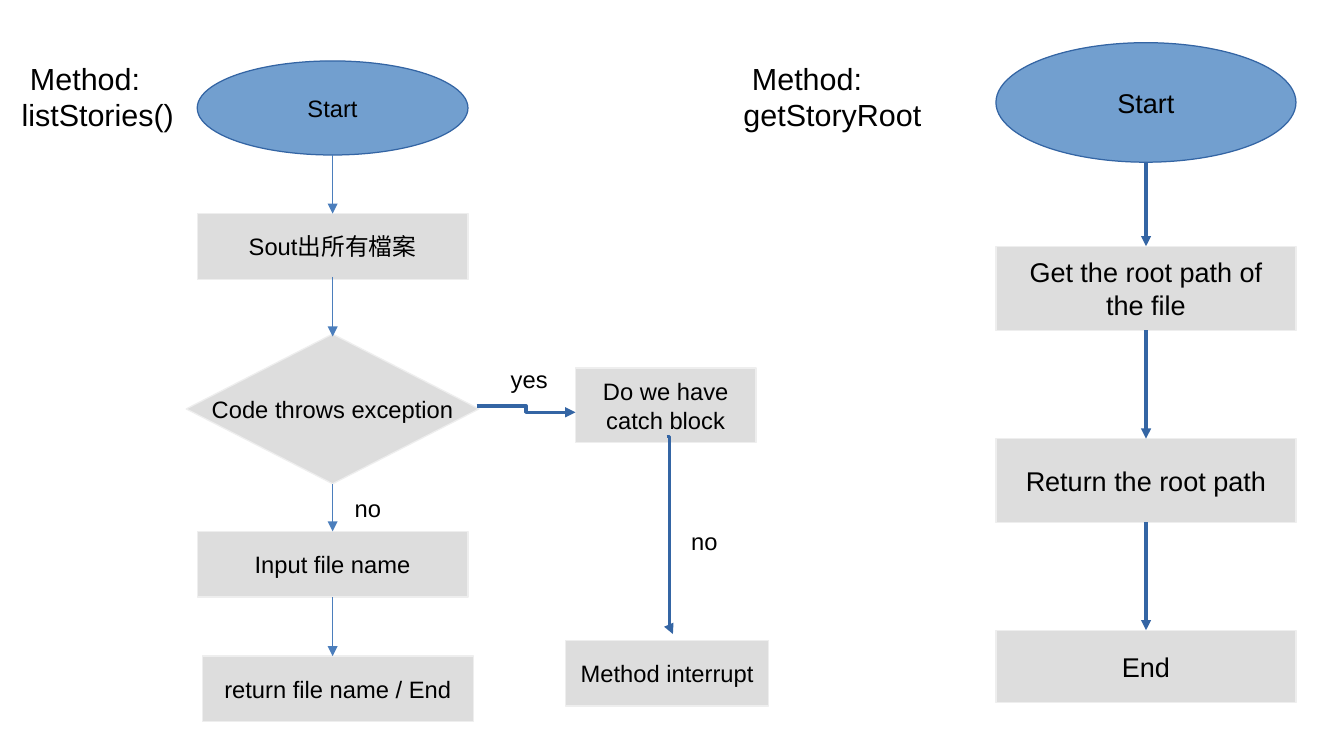
"""Build a slide with the flowcharts of the methods listStories() and getStoryRoot."""
from lxml import etree
from pptx import Presentation
from pptx.dml.color import RGBColor
from pptx.enum.shapes import MSO_CONNECTOR, MSO_SHAPE
from pptx.enum.text import MSO_ANCHOR, PP_ALIGN
from pptx.oxml.ns import qn
from pptx.util import Cm, Pt

OVAL, BOX, DECISION = MSO_SHAPE.OVAL, MSO_SHAPE.RECTANGLE, MSO_SHAPE.DIAMOND
STRAIGHT, ELBOW = MSO_CONNECTOR.STRAIGHT, MSO_CONNECTOR.ELBOW
MIDDLE, CENTER = MSO_ANCHOR.MIDDLE, PP_ALIGN.CENTER
BLUE, DARK_BLUE, ARROW_BLUE = "729FCF", "3465A4", "4B7EBC"
GRAY, LIGHT_GRAY, BLACK = "DDDDDD", "EEEEEE", "000000"
LEFT_X, LEFT_WIDTH = 4.11, 5.64
RIGHT_X, RIGHT_WIDTH = 20.75, 6.25
LEFT_AXIS = LEFT_X + LEFT_WIDTH / 2
RIGHT_AXIS = RIGHT_X + RIGHT_WIDTH / 2


def color(value):
    return RGBColor.from_string(value)


def write(shape, text, size):
    shape.text_frame.text = text
    shape.text_frame.word_wrap = True
    for paragraph in shape.text_frame.paragraphs:
        paragraph.font.name = "Arial"
        paragraph.font.size = Pt(size)
        paragraph.font.color.rgb = color(BLACK)


presentation = Presentation()
presentation.slide_width, presentation.slide_height = Cm(28), Cm(15.75)
slide = presentation.slides.add_slide(presentation.slide_layouts[6])

steps = [
    (OVAL, "Start", 14, LEFT_X, 1.27, LEFT_WIDTH, 1.96),
    (BOX, "Sout出所有檔案", 14, LEFT_X, 4.45, LEFT_WIDTH, 1.37),
    (DECISION, "Code throws exception", 14, 3.88, 6.96, 6.1, 3.12),
    (BOX, "Input file name", 14, LEFT_X, 11.07, LEFT_WIDTH, 1.37),
    (BOX, "return file name / End", 14, 4.22, 13.67, LEFT_WIDTH, 1.37),
    (BOX, "Do we have catch block", 14, 11.99, 7.67, 3.76, 1.55),
    (BOX, "Method interrupt", 14, 11.79, 13.34, 4.22, 1.37),
    (OVAL, "Start", 16, RIGHT_X, 0.89, RIGHT_WIDTH, 2.49),
    (BOX, "Get the root path of the file", 16, RIGHT_X, 5.13, RIGHT_WIDTH, 1.75),
    (BOX, "Return the root path", 16, RIGHT_X, 9.14, RIGHT_WIDTH, 1.75),
    (BOX, "End", 16, RIGHT_X, 13.13, RIGHT_WIDTH, 1.5),
]
for kind, text, size, *bounds in steps:
    shape = slide.shapes.add_shape(kind, *map(Cm, bounds))
    shape.shadow.inherit = False
    shape.fill.solid()
    shape.fill.fore_color.rgb = color(BLUE if kind == OVAL else GRAY)
    shape.line.color.rgb = color(DARK_BLUE if kind == OVAL else LIGHT_GRAY)
    shape.line.width = Pt(0)
    write(shape, text, size)
    shape.text_frame.word_wrap = kind != DECISION
    shape.text_frame.vertical_anchor = MIDDLE
    shape.text_frame.paragraphs[0].alignment = CENTER

labels = [
    (" Method:\nlistStories()", 18, 0.2, 1.12, 6.02, 2.49),
    (" Method:\ngetStoryRoot", 18, 15.24, 1.12, 6.02, 2.49),
    ("yes", 14, 10.39, 7.47, 1.4, 0.76),
    ("no", 14, 7.14, 10.16, 1.6, 0.76),
    ("no", 14, 14.15, 10.85, 1.65, 0.76),
]
for text, size, *bounds in labels:
    write(slide.shapes.add_textbox(*map(Cm, bounds)), text, size)

arrows = [
    (ELBOW, DARK_BLUE, 0, 9.93, 8.46, 11.99, 8.59),
    (ELBOW, DARK_BLUE, 0, 13.89, 9.09, 14.02, 13.21),
]
for top, bottom in [(3.38, 5.13), (6.88, 9.14), (10.88, 13.13)]:
    arrows.append((STRAIGHT, DARK_BLUE, 0, RIGHT_AXIS, top, RIGHT_AXIS, bottom))
for top, bottom in [(3.23, 4.45), (5.77, 7.01), (10.08, 11.07), (12.44, 13.67)]:
    arrows.append((STRAIGHT, ARROW_BLUE, 0.75, LEFT_AXIS, top, LEFT_AXIS, bottom))
for kind, line_color, width, *ends in arrows:
    connector = slide.shapes.add_connector(kind, *map(Cm, ends))
    connector.line.color.rgb = color(line_color)
    connector.line.width = Pt(width)
    line = connector.line._get_or_add_ln()
    etree.SubElement(line, qn("a:tailEnd"), type="triangle")
    etree.SubElement(connector._element.spPr, qn("a:effectLst"))

presentation.save("out.pptx")
